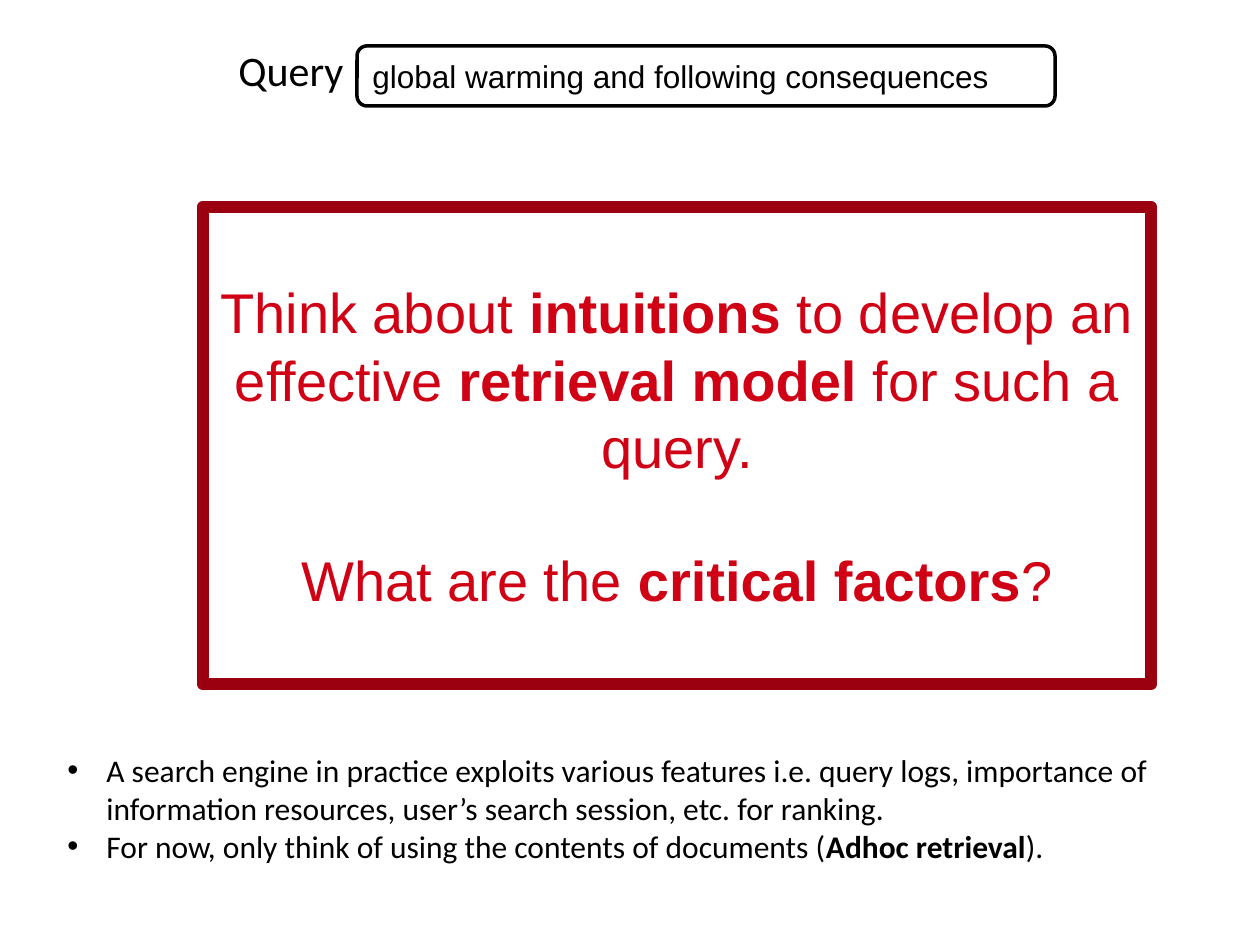
from dataclasses import dataclass
from typing import Optional

from lxml.etree import SubElement
from pptx import Presentation
from pptx.dml.color import RGBColor
from pptx.enum.shapes import MSO_SHAPE
from pptx.enum.text import MSO_ANCHOR, MSO_AUTO_SIZE, PP_ALIGN
from pptx.oxml.ns import qn
from pptx.util import Emu, Pt

PX_PER_INCH = 126
BLACK = RGBColor(0x00, 0x00, 0x00)
RED = RGBColor(0xD0, 0x00, 0x15)
DARK_RED = RGBColor(0x9A, 0x00, 0x10)
INDENT = 39


def px(n: int) -> Emu:
    return Emu(round(n * 914400 / PX_PER_INCH))


@dataclass
class Para:
    runs: list[str]  # plain and bold runs alternate, plain first
    before: int = 0
    bullet: bool = False


@dataclass
class Block:
    box: tuple[int, int, int, int]
    paras: list[Para]
    font: dict
    align: PP_ALIGN = PP_ALIGN.LEFT
    wrap: bool = True
    shape: Optional[MSO_SHAPE] = None  # None gives a text box
    line: RGBColor = BLACK
    weight: float = 0


def add_bullet(p) -> None:
    pPr = p._p.get_or_add_pPr()
    pPr.set("marL", str(px(INDENT)))
    pPr.set("indent", str(px(-INDENT)))
    SubElement(pPr, qn("a:buFont")).set("typeface", "Arial")
    SubElement(pPr, qn("a:buChar")).set("char", "•")


def write_text(tf, block: Block) -> None:
    for i, para in enumerate(block.paras):
        p = tf.paragraphs[0] if i == 0 else tf.add_paragraph()
        p.alignment = block.align
        if para.before:
            p.space_before = Pt(para.before)
        if para.bullet:
            add_bullet(p)
        for j, text in enumerate(para.runs):
            r = p.add_run()
            r.text = text
            r.font.bold = j % 2 == 1
            r.font.color.rgb = block.line if "color" not in block.font else block.font["color"]
            for name in ("name", "size"):
                setattr(r.font, name, block.font[name])


def draw(s, block: Block) -> None:
    box = [px(n) for n in block.box]
    if block.shape is None:
        sp = s.shapes.add_textbox(*box)
        frame = {"auto_size": MSO_AUTO_SIZE.SHAPE_TO_FIT_TEXT}
    else:
        sp = s.shapes.add_shape(block.shape, *box)
        sp.shadow.inherit = False
        sp.fill.background()
        sp.line.color.rgb = block.line
        sp.line.width = Pt(block.weight)
        SubElement(sp.line._get_or_add_ln(), qn("a:round"))
        frame = {"vertical_anchor": MSO_ANCHOR.MIDDLE}
    for name, value in {"word_wrap": block.wrap, **frame}.items():
        setattr(sp.text_frame, name, value)
    write_text(sp.text_frame, block)


BLOCKS = [
    # Central question
    Block((203, 207, 948, 477), [
        Para(["Think about ", "intuitions", " to develop an effective ",
              "retrieval model ", "for such a query."]),
        Para(["What are the ", "critical factors", "?"], before=38),
    ], {"name": "Arial", "size": Pt(32), "color": RED},
        align=PP_ALIGN.CENTER, shape=MSO_SHAPE.RECTANGLE, line=DARK_RED, weight=7.25),
    # Notes on ranking
    Block((55, 745, 1179, 127), [
        Para(["A search engine in practice exploits various features i.e. query logs, "
              "importance of information resources, user’s search session, etc. for ranking."],
             bullet=True),
        Para(["For now, only think of using the contents of documents (",
              "Adhoc retrieval", ")."], bullet=True),
    ], {"name": "Calibri", "size": Pt(18), "color": BLACK}),
    # Query label and search field
    Block((226, 38, 131, 63), [Para(["Query"])],
          {"name": "Calibri", "size": Pt(24), "color": BLACK}, wrap=False),
    Block((357, 46, 698, 60), [Para(["global warming and following consequences"])],
          {"name": "Arial", "size": Pt(18), "color": BLACK},
          shape=MSO_SHAPE.ROUNDED_RECTANGLE, weight=2),
]


def main() -> None:
    prs = Presentation()
    prs.slide_width, prs.slide_height = px(1260), px(945)
    s = prs.slides.add_slide(prs.slide_layouts[6])
    for block in BLOCKS:
        draw(s, block)
    prs.save("out.pptx")


if __name__ == "__main__":
    main()
